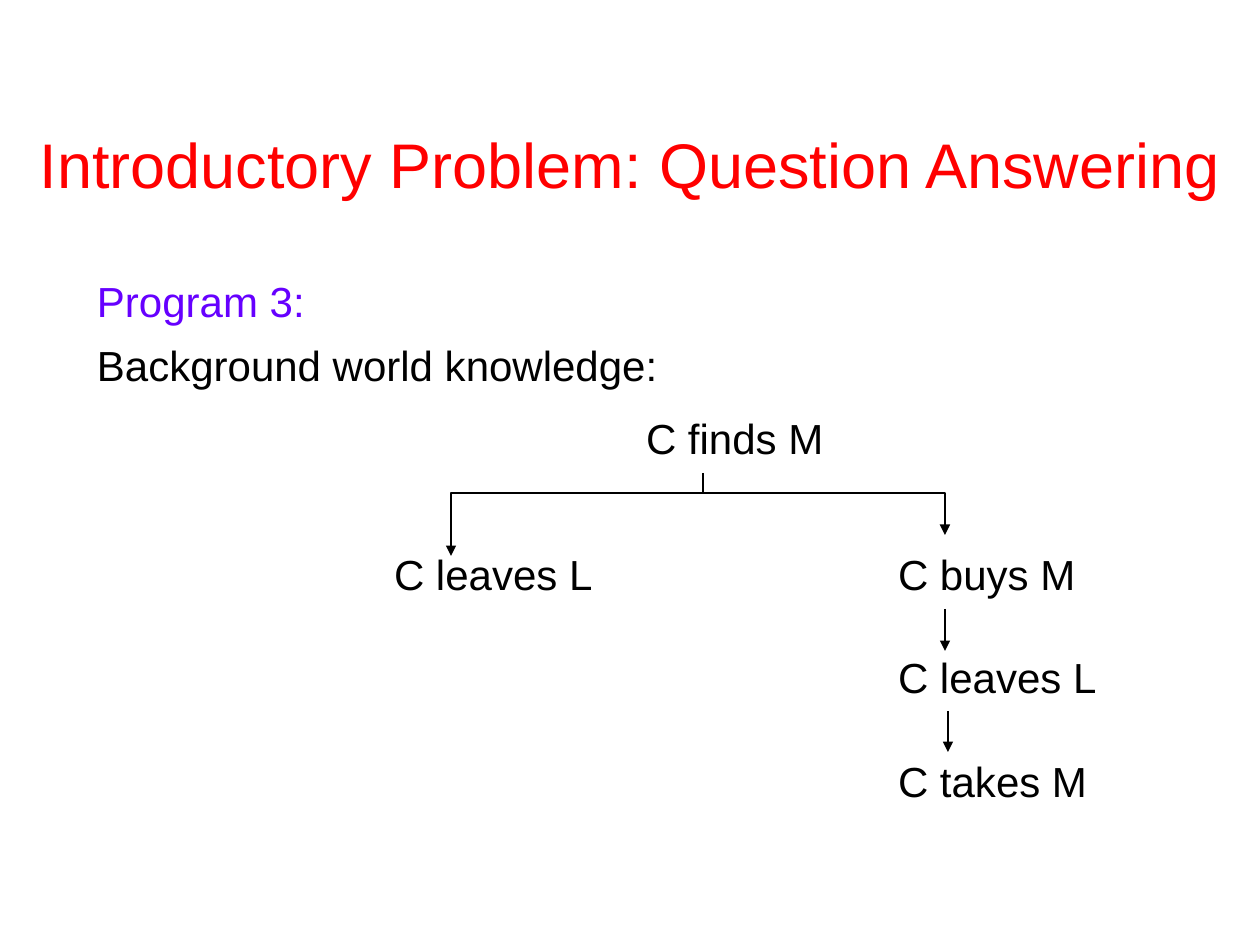
from lxml import etree
from pptx import Presentation, util as u
from pptx.dml.color import RGBColor
from pptx.enum import shapes, text
from pptx.oxml.ns import qn

EMU_PER_PX = 914400 / 126
COLORS = {"title": "FF0000", "program": "6600FF", "ink": "000000"}
FONT = "Arial"
BODY_SIZE = 24
LINE_HEIGHT = 48

TITLE = "Introductory Problem: Question Answering"
# text, colour, left, top
LINES = [
    ("Program 3:", "program", 97, 277),
    ("Background world knowledge:", "ink", 97, 341),
    ("C finds M", "ink", 646, 414),
    ("C leaves L", "ink", 394, 550),
    ("C buys M", "ink", 898, 550),
    ("C leaves L", "ink", 898, 653),
    ("C takes M", "ink", 898, 757),
]
BRANCH = [(451, 556), (451, 493), (945, 493), (945, 535)]
# x, top, bottom, has arrowhead
STEMS = [(703, 473, 493, False), (945, 609, 651, True), (948, 711, 752, True)]


def px(value):
    return u.Emu(round(value * EMU_PER_PX))


def add_text(slide, words, color, box, size, align=text.PP_ALIGN.LEFT):
    frame = slide.shapes.add_textbox(*map(px, box)).text_frame
    frame.word_wrap = True
    frame.vertical_anchor = text.MSO_ANCHOR.MIDDLE
    frame.margin_left = frame.margin_right = 0
    frame.margin_top = frame.margin_bottom = 0
    paragraph = frame.paragraphs[0]
    paragraph.text = words
    paragraph.alignment = align
    paragraph.font.name = FONT
    paragraph.font.size = u.Pt(size)
    paragraph.font.color.rgb = RGBColor.from_string(COLORS[color])


def style_line(shape, *arrow_ends):
    """Draw a black line with triangles at the given ends (headEnd, tailEnd)."""
    shape.line.width = u.Pt(1.5)
    shape.line.color.rgb = RGBColor.from_string(COLORS["ink"])
    outline = shape.line._get_or_add_ln()
    for end in arrow_ends:
        etree.SubElement(outline, qn(f"a:{end}"), type="triangle")


def add_branch(slide):
    builder = slide.shapes.build_freeform(*BRANCH[0], scale=EMU_PER_PX)
    builder.add_line_segments(BRANCH[1:], close=False)
    branch = builder.convert_to_shape()
    branch.shadow.inherit = False
    branch.fill.background()
    style_line(branch, "headEnd", "tailEnd")


def add_stem(slide, x, top, bottom, has_arrowhead):
    stem = slide.shapes.add_connector(
        shapes.MSO_CONNECTOR.STRAIGHT, px(x), px(top), px(x), px(bottom))
    style_line(stem, *(["tailEnd"] if has_arrowhead else []))
    etree.SubElement(stem._element.spPr, qn("a:effectLst"))


def main():
    presentation = Presentation()
    presentation.slide_width, presentation.slide_height = px(1260), px(945)
    slide = presentation.slides.add_slide(presentation.slide_layouts[6])

    add_text(slide, TITLE, "title", (0, 84, 1260, 158), 36, text.PP_ALIGN.CENTER)
    for words, color, left, top in LINES:
        width = 700 if left < 300 else 260
        add_text(slide, words, color, (left, top, width, LINE_HEIGHT), BODY_SIZE)
    add_branch(slide)
    for stem in STEMS:
        add_stem(slide, *stem)

    presentation.save("out.pptx")


if __name__ == "__main__":
    main()
